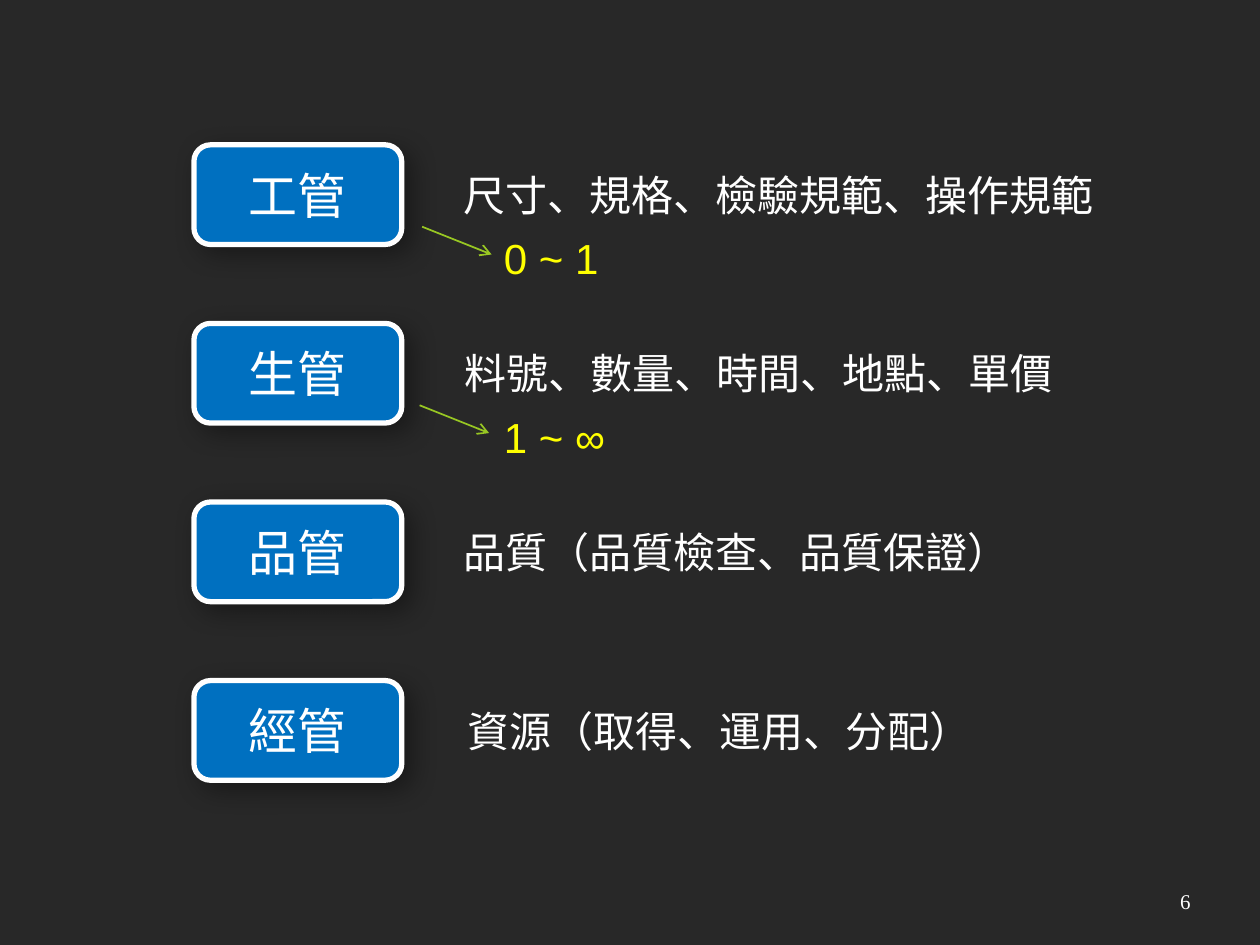
from dataclasses import dataclass
from typing import Optional

from lxml.etree import SubElement
from pptx import Presentation
from pptx.dml.color import RGBColor
from pptx.enum.shapes import MSO_CONNECTOR, MSO_SHAPE
from pptx.enum.text import MSO_ANCHOR, MSO_AUTO_SIZE, PP_ALIGN
from pptx.oxml.ns import qn
from pptx.slide import Slide
from pptx.text.text import TextFrame
from pptx.util import Cm, Pt

COLORS = {
    "background": "282828",
    "box": "0070C0",
    "white": "FFFFFF",
    "range": "FFFF00",
    "arrow": "98C723",
    "shadow": "000000",
}
CJK = "Noto Sans CJK SC"

# Lengths in centimetres
FIRST_TOP, ROW_PITCH = 2.92, 3.6
BOX_LEFT, BOX_WIDTH, BOX_HEIGHT = 3.91, 4.19, 2.01
TEXT_HEIGHT = 1.27
DETAIL_DROP = 0.37
RANGE_LEFT, RANGE_DROP = 9.91, 1.65
ARROW_WIDTH, ARROW_HEIGHT = 1.4, 0.56


@dataclass
class ValueRange:
    text: str
    width: float
    arrow_left: float


@dataclass
class Department:
    name: str
    detail: str
    detail_left: float
    detail_width: float
    value_range: Optional[ValueRange] = None


DEPARTMENTS = [
    Department("工管", "尺寸、規格、檢驗規範、操作規範", 9.09, 13.34,
               ValueRange("0 ~ 1", 2.44, 8.51)),
    Department("生管", "料號、數量、時間、地點、單價", 9.12, 12.47,
               ValueRange("1 ~ ∞", 2.57, 8.46)),
    Department("品管", "品質（品質檢查、品質保證）", 9.09, 11.63),
    Department("經管", "資源（取得、運用、分配）", 9.17, 10.77),
]


def rgb(name: str) -> RGBColor:
    return RGBColor.from_string(COLORS[name])


def write(frame: TextFrame, text: str, size: int, font: str, color: str,
          align: PP_ALIGN = PP_ALIGN.LEFT) -> None:
    paragraph = frame.paragraphs[0]
    paragraph.alignment = align
    run = paragraph.add_run()
    run.text = text
    run.font.size = Pt(size)
    run.font.name = font
    run.font.color.rgb = rgb(color)
    SubElement(run.font._element, qn("a:ea"), typeface=font)


def add_line_of_text(slide: Slide, left: float, top: float, width: float,
                     text: str, font: str, color: str) -> None:
    frame = slide.shapes.add_textbox(
        Cm(left), Cm(top), Cm(width), Cm(TEXT_HEIGHT)).text_frame
    frame.word_wrap = False
    frame.auto_size = MSO_AUTO_SIZE.SHAPE_TO_FIT_TEXT
    write(frame, text, 24, font, color)


def add_box(slide: Slide, top: float, name: str) -> None:
    box = slide.shapes.add_shape(
        MSO_SHAPE.ROUNDED_RECTANGLE,
        Cm(BOX_LEFT), Cm(top), Cm(BOX_WIDTH), Cm(BOX_HEIGHT))
    box.fill.solid()
    box.fill.fore_color.rgb = rgb("box")
    box.line.color.rgb = rgb("white")
    box.line.width = Pt(3)
    box.shadow.inherit = False
    effects = box._element.spPr.find(qn("a:effectLst"))
    shadow = SubElement(effects, qn("a:outerShdw"), blurRad=str(Pt(15)),
                        dist=str(Pt(6.2)), dir="2700000", algn="tl",
                        rotWithShape="0")
    tint = SubElement(shadow, qn("a:srgbClr"), val=COLORS["shadow"])
    SubElement(tint, qn("a:alpha"), val="36000")
    box.text_frame.vertical_anchor = MSO_ANCHOR.MIDDLE
    write(box.text_frame, name, 28, CJK, "white", PP_ALIGN.CENTER)


def add_arrow(slide: Slide, left: float, top: float) -> None:
    arrow = slide.shapes.add_connector(
        MSO_CONNECTOR.STRAIGHT, Cm(left), Cm(top),
        Cm(left + ARROW_WIDTH), Cm(top + ARROW_HEIGHT))
    arrow.line.color.rgb = rgb("arrow")
    arrow.line.width = Pt(1)
    SubElement(arrow.line._get_or_add_ln(), qn("a:tailEnd"), type="arrow")
    SubElement(arrow._element.spPr, qn("a:effectLst"))


def add_department(slide: Slide, department: Department, top: float) -> None:
    add_box(slide, top, department.name)
    add_line_of_text(slide, department.detail_left, top + DETAIL_DROP,
                     department.detail_width, department.detail, CJK, "white")
    value_range = department.value_range
    if value_range:
        add_arrow(slide, value_range.arrow_left, top + RANGE_DROP)
        add_line_of_text(slide, RANGE_LEFT, top + RANGE_DROP,
                         value_range.width, value_range.text, "Arial", "range")


def add_page_number(slide: Slide, number: str) -> None:
    frame = slide.shapes.add_textbox(
        Cm(18.21), Cm(17.65), Cm(5.92), Cm(1.02)).text_frame
    frame.word_wrap = True
    frame.vertical_anchor = MSO_ANCHOR.MIDDLE
    frame.margin_left = frame.margin_right = Cm(0.13)
    write(frame, number, 12, "Times New Roman", "white", PP_ALIGN.RIGHT)


def main() -> None:
    deck = Presentation()
    deck.slide_width, deck.slide_height = Cm(25.4), Cm(19.05)
    slide = deck.slides.add_slide(deck.slide_layouts[6])
    slide.background.fill.solid()
    slide.background.fill.fore_color.rgb = rgb("background")
    add_page_number(slide, "6")
    for row, department in enumerate(DEPARTMENTS):
        add_department(slide, department, FIRST_TOP + row * ROW_PITCH)
    deck.save("out.pptx")


if __name__ == "__main__":
    main()
